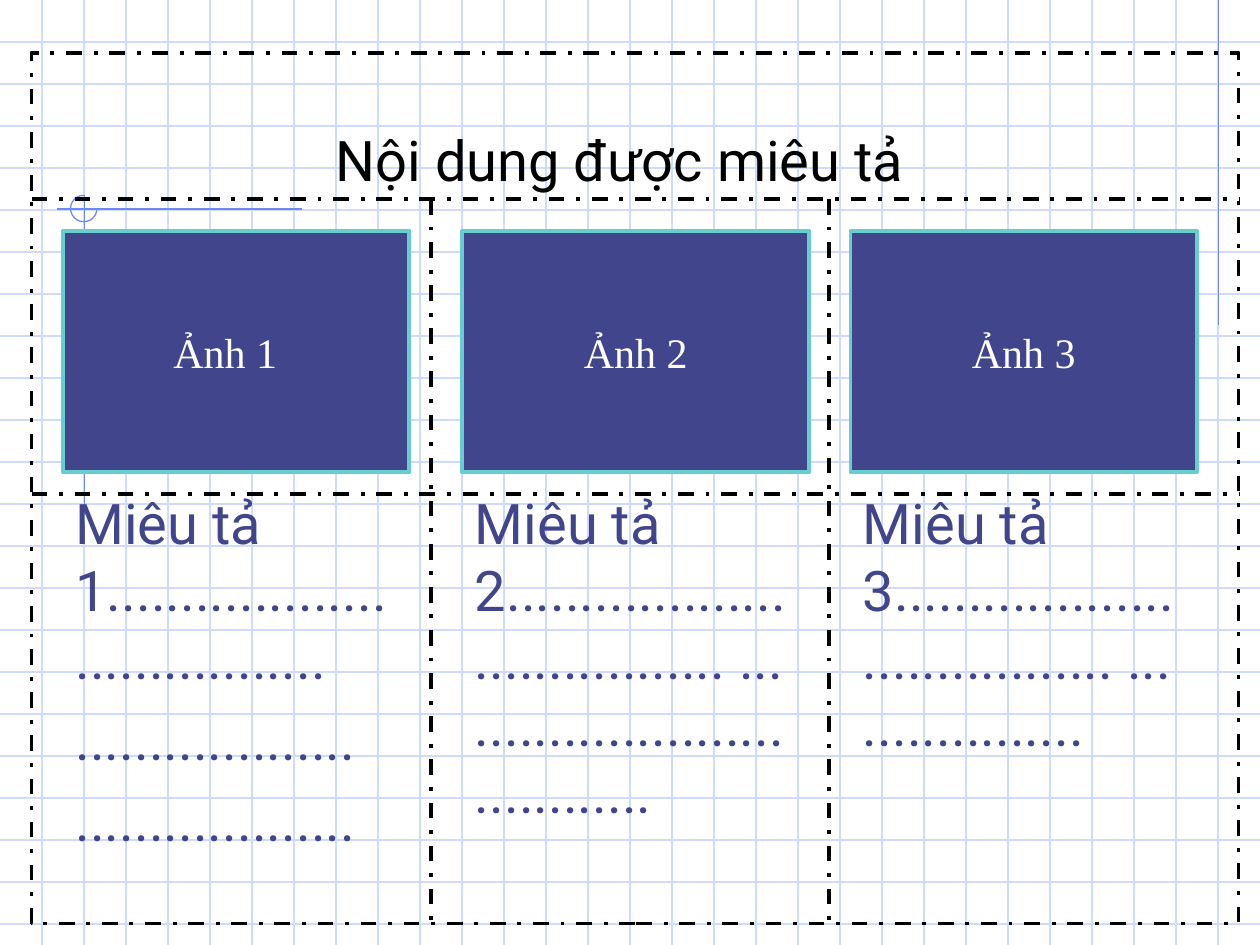
import pptx
import pptx.util
import pptx.dml.color
import pptx.enum.dml
import pptx.enum.shapes
import pptx.enum.text
import pptx.oxml.xmlchemy

Inches = pptx.util.Inches
Pt = pptx.util.Pt
ALIGN = pptx.enum.text.PP_ALIGN
ANCHOR = pptx.enum.text.MSO_ANCHOR
SHAPE = pptx.enum.shapes.MSO_SHAPE

COLORS = {
    "grid": "CFDBFD",
    "accent": "6F89F7",
    "frame": "000000",
    "title": "000000",
    "panel": "40458C",
    "panel_edge": "66CECC",
    "label": "FFFFFF",
    "body": "40458C",
}
WIDTH, HEIGHT = 10, 7.5
GRID_STEP = 1 / 3
COLUMN_LEFTS = [0.5, 3.67, 6.75]
COLUMN_WIDTH = 2.75
DOTS = "." * 36
DESCRIPTIONS = [
    ["Miêu tả 1" + DOTS, "." * 19, "." * 19],
    ["Miêu tả 2" + DOTS + " " + DOTS],
    ["Miêu tả 3" + DOTS + " " + "." * 18],
]


def rgb(name):
    return pptx.dml.color.RGBColor.from_string(COLORS[name])


def apply_format(target, values):
    for key, value in values.items():
        setattr(target, key, value)


def style_line(line, color, width, dashed=False):
    line.color.rgb = rgb(color)
    line.width = Pt(width)
    if dashed:
        line.dash_style = pptx.enum.dml.MSO_LINE.DASH_DOT


def add_line(slide, start, end, color, width=0.75, dashed=False):
    line = slide.shapes.add_connector(
        pptx.enum.shapes.MSO_CONNECTOR.STRAIGHT,
        *(Inches(value) for value in (*start, *end)))
    style_line(line.line, color, width, dashed)
    line._element.spPr.append(pptx.oxml.xmlchemy.OxmlElement("a:effectLst"))


def add_outline(slide, preset, box, color, width, dashed=False):
    outline = slide.shapes.add_shape(preset, *(Inches(value) for value in box))
    outline.shadow.inherit = False
    outline.fill.background()
    style_line(outline.line, color, width, dashed)
    return outline


def set_tabs(paragraph):
    tabs = pptx.oxml.xmlchemy.OxmlElement("a:tabLst")
    for inch in range(8):
        tab = pptx.oxml.xmlchemy.OxmlElement("a:tab")
        tab.set("pos", str(Inches(inch)))
        tab.set("algn", "l")
        tabs.append(tab)
    paragraph._p.get_or_add_pPr().append(tabs)


def write(frame, texts, align, font, size, color):
    for index, text in enumerate(texts):
        paragraph = frame.paragraphs[0] if index == 0 else frame.add_paragraph()
        paragraph.alignment = align
        if index:
            paragraph.space_before = Pt(8)
        set_tabs(paragraph)
        run = paragraph.add_run()
        run.text = text
        apply_format(run.font, {"name": font, "size": Pt(size)})
        run.font.color.rgb = rgb(color)


def add_text(slide, box, texts, align, anchor, color):
    frame = slide.shapes.add_textbox(*(Inches(value) for value in box)).text_frame
    apply_format(frame, {"word_wrap": True, "vertical_anchor": anchor})
    write(frame, texts, align, "Roboto", 32, color)


def add_panel(slide, left, label):
    panel = add_outline(slide, SHAPE.RECTANGLE, (left, 1.83, COLUMN_WIDTH, 1.92),
                        "panel_edge", 2.25)
    panel.fill.solid()
    panel.fill.fore_color.rgb = rgb("panel")
    apply_format(panel.text_frame,
                 {"word_wrap": False, "vertical_anchor": ANCHOR.MIDDLE})
    write(panel.text_frame, [label], ALIGN.CENTER, "Times New Roman", 24, "label")


def add_grid(slide):
    for row in range(1, 23):
        y = row * GRID_STEP
        add_line(slide, (0, y), (WIDTH, y), "grid")
    for column in range(1, 30):
        x = column * GRID_STEP
        add_line(slide, (x, 0), (x, HEIGHT), "grid")


def add_accents(slide):
    add_line(slide, (9.67, 0), (9.67, 2.58), "accent")
    add_line(slide, (2.4, 1.66), (0.45, 1.66), "accent")
    add_line(slide, (0.67, 1.55), (0.67, 4.09), "accent")
    ring = add_outline(slide, SHAPE.ARC, (0.56, 1.55, 0.21, 0.21), "accent", 0.75)
    ring.adjustments[0] = 0
    ring.adjustments[1] = 162


def add_frame(slide):
    left, top, right, bottom, header = 0.25, 0.42, 9.83, 7.33, 1.58
    add_outline(slide, SHAPE.RECTANGLE, (left, top, right - left, bottom - top),
                "frame", 2.25, True)
    for y in (header, 3.92):
        add_line(slide, (left, y), (right, y), "frame", 2.25, True)
    for x in (3.42, 6.58):
        add_line(slide, (x, header), (x, bottom), "frame", 2.25, True)


def main():
    deck = pptx.Presentation()
    apply_format(deck, {"slide_width": Inches(WIDTH), "slide_height": Inches(HEIGHT)})
    slide = deck.slides.add_slide(deck.slide_layouts[6])
    add_grid(slide)
    add_accents(slide)
    add_frame(slide)
    add_text(slide, (0.67, 0.33, 8.5, 1.25), ["Nội dung được miêu tả"],
             ALIGN.CENTER, ANCHOR.BOTTOM, "title")
    for left, label in zip(COLUMN_LEFTS, ["Ảnh 1\t", "Ảnh 2", "Ảnh 3"]):
        add_panel(slide, left, label)
    for left, texts in zip(COLUMN_LEFTS, DESCRIPTIONS):
        add_text(slide, (left, 3.83, COLUMN_WIDTH, 3.42), texts,
                 ALIGN.LEFT, ANCHOR.TOP, "body")
    deck.save("out.pptx")


if __name__ == "__main__":
    main()
